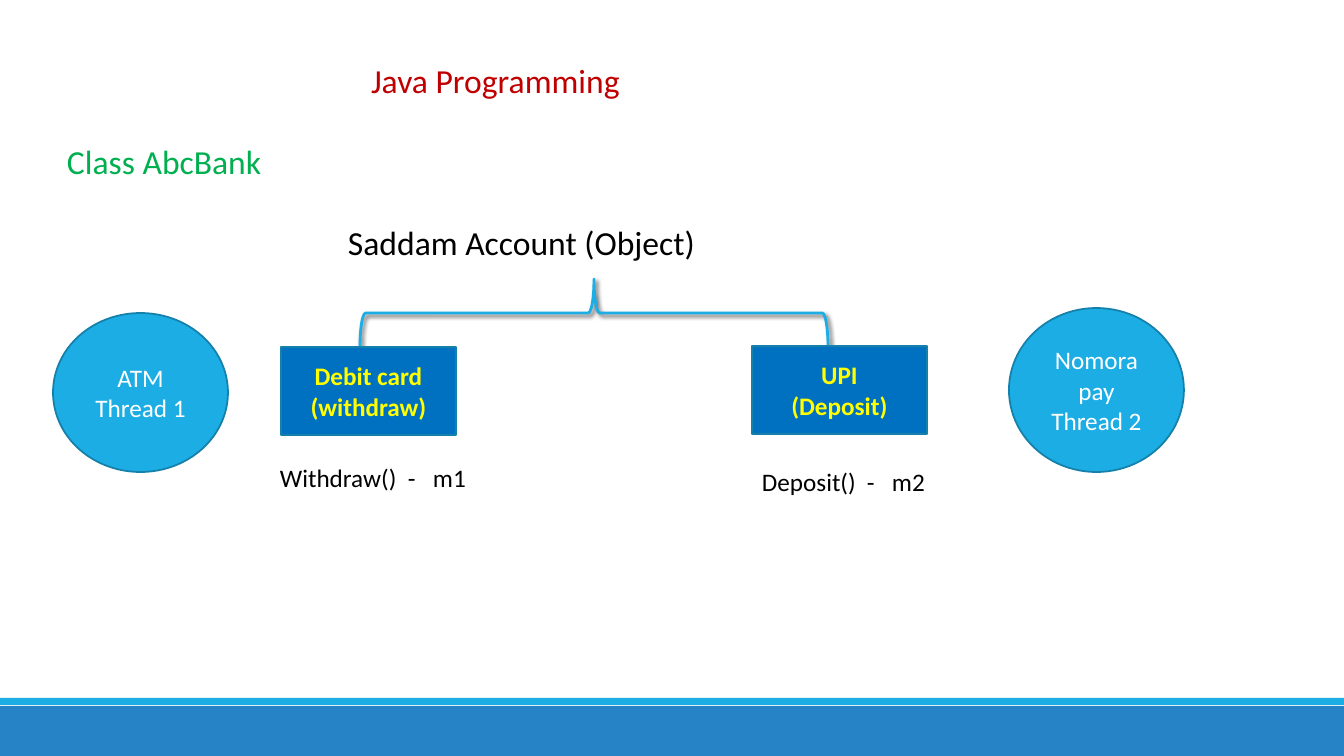
import pptx
import pptx.dml.color
import pptx.enum.shapes
import pptx.enum.text
import pptx.oxml
import pptx.oxml.ns
import pptx.util

SHAPES = pptx.enum.shapes.MSO_SHAPE
ALIGN = pptx.enum.text.PP_ALIGN
ANCHOR = pptx.enum.text.MSO_ANCHOR
Pt = pptx.util.Pt
NAMESPACE = pptx.oxml.ns.nsdecls("a")

SKY, EDGE, BLUE = "1CADE4", "1580A9", "0070C0"
NO_MARGINS = dict.fromkeys(
    ("margin_left", "margin_top", "margin_right", "margin_bottom"), 0)


def px(length):
    return round(length * 914400 / 100.8)


def color(hex_value):
    return pptx.dml.color.RGBColor.from_string(hex_value)


def set_format(target, values):
    for name, value in values.items():
        setattr(target, name, value)


def write(frame, lines, size, hex_value, bold=False, align=ALIGN.LEFT):
    """Fill a text frame with one paragraph per line."""
    frame.text = "\n".join(lines)
    for para in frame.paragraphs:
        set_format(para, {"alignment": align, "space_before": Pt(0)})
        for span in para.runs:
            set_format(span.font, {"name": "Calibri", "size": Pt(size), "bold": bold})
            span.font.color.rgb = color(hex_value)


def place(holder, left, top, width, height):
    """Move a placeholder and give its frame plain top-left text."""
    set_format(holder, {"left": px(left), "top": px(top),
                        "width": px(width), "height": px(height)})
    set_format(holder.text_frame, {
        **NO_MARGINS, "word_wrap": True, "vertical_anchor": ANCHOR.TOP,
        "auto_size": pptx.enum.text.MSO_AUTO_SIZE.NONE})


def add_block(page, kind, box, fill=None, line=None, width=1.25):
    block = page.shapes.add_shape(kind, *map(px, box))
    block.shadow.inherit = False
    if fill:
        block.fill.solid()
        block.fill.fore_color.rgb = color(fill)
    else:
        block.fill.background()
    if line:
        block.line.color.rgb = color(line)
        block.line.width = Pt(width)
    else:
        block.line.fill.background()
    return block


def add_label(page, kind, box, fill, lines, text_color, bold=False):
    block = add_block(page, kind, box, fill, EDGE)
    set_format(block.text_frame, {"word_wrap": True, "vertical_anchor": ANCHOR.MIDDLE})
    write(block.text_frame, lines, 18, text_color, bold, ALIGN.CENTER)


def add_brace(page):
    brace = add_block(page, SHAPES.LEFT_BRACE, (560, 79, 68, 468), line=SKY, width=2)
    brace.rotation = 90
    effects = brace._element.spPr.find(pptx.oxml.ns.qn("a:effectLst"))
    effects.append(pptx.oxml.parse_xml(
        f'<a:outerShdw {NAMESPACE} blurRad="{Pt(3)}" dist="{Pt(2)}" dir="2700000" '
        'rotWithShape="0"><a:srgbClr val="000000"><a:alpha val="60000"/>'
        '</a:srgbClr></a:outerShdw>'))


def add_method(page, left, top, parts, stops):
    """A method name, a dash and its number, set apart by tab stops."""
    note = page.shapes.add_textbox(px(left), px(top), px(210), px(30))
    set_format(note.text_frame, {**NO_MARGINS, "word_wrap": True})
    write(note.text_frame, ["\t".join(parts)], 18, "000000")
    tabs = "".join(f'<a:tab pos="{px(stop)}" algn="l"/>' for stop in stops)
    note.text_frame.paragraphs[0]._p.get_or_add_pPr().append(
        pptx.oxml.parse_xml(f"<a:tabLst {NAMESPACE}>{tabs}</a:tabLst>"))


def add_headings(page):
    title, body = page.placeholders
    place(title, 371, 60, 600, 41)
    write(title.text_frame, ["Java Programming"], 24, "C00000")

    place(body, 67, 141, 960, 122)
    write(body.text_frame, ["Class AbcBank", "Saddam Account (Object)"], 24, "000000")
    class_line, account_line = body.text_frame.paragraphs
    class_line.runs[0].font.color.rgb = color("00B050")
    class_line.space_after = Pt(29)
    for para, indent in ((class_line, 0), (account_line, 281)):
        properties = para._p.get_or_add_pPr()
        properties.set("marL", str(px(indent)))
        properties.set("indent", "0")
        properties.append(pptx.oxml.parse_xml(f"<a:buNone {NAMESPACE}/>"))


def main():
    deck = pptx.Presentation()
    deck.slide_width, deck.slide_height = px(1344), px(756)
    page = deck.slides.add_slide(deck.slide_layouts[1])

    # Footer bars
    add_block(page, SHAPES.RECTANGLE, (0, 706, 1344, 50), "2683C6")
    add_block(page, SHAPES.RECTANGLE, (0, 698, 1344, 7), SKY)

    # Headings and the brace under the account
    add_headings(page)
    add_brace(page)

    # Operations on the account
    for left, top, lines in ((281, 347, ["Debit card", "(withdraw)"]),
                             (752, 346, ["UPI", "(Deposit)"])):
        add_label(page, SHAPES.RECTANGLE, (left, top, 175, 88), BLUE, lines,
                  "FFFF00", True)

    # Threads
    for left, top, height, lines in ((53, 313, 159, ["ATM", "Thread 1"]),
                                     (1009, 308, 164, ["Nomora pay Thread 2"])):
        add_label(page, SHAPES.OVAL, (left, top, 175, height), SKY, lines, "FFFFFF")

    # Methods
    add_method(page, 280, 462, ("Withdraw()", "-", "m1"), (128, 153))
    add_method(page, 762, 466, ("Deposit()", "-", "m2"), (105, 130))

    deck.save("out.pptx")


if __name__ == "__main__":
    main()
